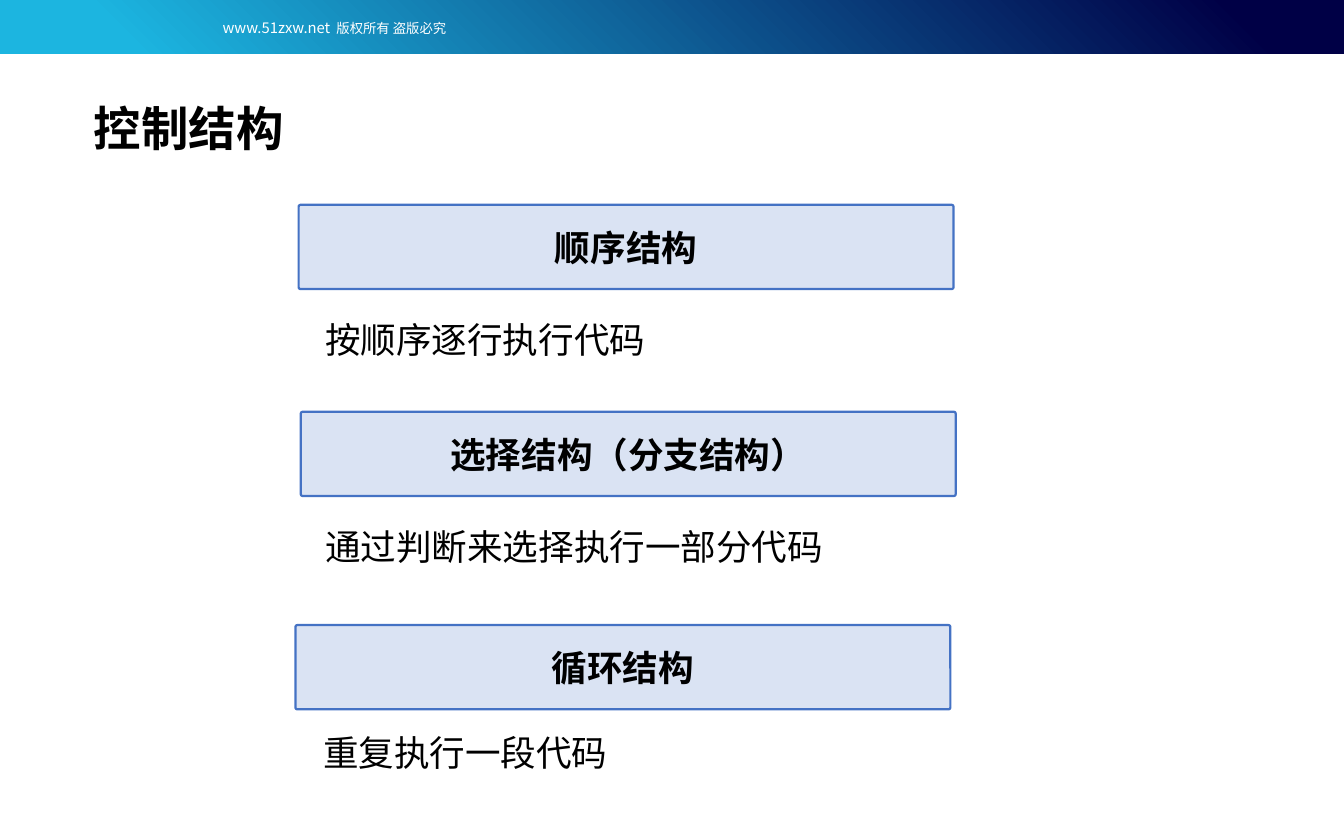
from dataclasses import dataclass

from lxml import etree
from pptx import Presentation
from pptx.dml.color import RGBColor
from pptx.enum import shapes, text
from pptx.oxml import ns
from pptx.util import Inches, Pt

PAGE_WIDTH = 12.6
PAGE_RATIO = 16 / 10
FONT = "Noto Sans CJK SC"
BLACK = RGBColor(0x00, 0x00, 0x00)
WHITE = RGBColor(0xFF, 0xFF, 0xFF)
NAVY = RGBColor(0x00, 0x00, 0x46)
CYAN = RGBColor(0x1C, 0xB5, 0xE0)
PALE_BLUE = RGBColor(0xDA, 0xE3, 0xF3)
BLUE = RGBColor(0x44, 0x72, 0xC4)


@dataclass(frozen=True)
class Structure:
    name: str
    bar_left: float
    bar_top: float
    meaning: str
    meaning_left: float
    meaning_top: float
    meaning_width: float


STRUCTURES = (
    Structure("顺序结构", 2.8, 1.92, "按顺序逐行执行代码", 2.95, 2.93, 4.75),
    Structure("选择结构（分支结构）", 2.82, 3.86, "通过判断来选择执行一部分代码", 2.95, 4.87, 5.92),
    Structure("循环结构", 2.77, 5.86, "重复执行一段代码", 2.93, 6.8, 5.92),
)


def format_span(span, size: float, color: RGBColor = BLACK, bold: bool = False) -> None:
    """Style a run, with the font set for Latin and Chinese characters alike."""
    font = span.font
    font.size, font.bold, font.name = Pt(size), bold, FONT
    font.color.rgb = color
    latin = font._element.find(ns.qn("a:latin"))
    east_asian = etree.Element(ns.qn("a:ea"), typeface=FONT)
    latin.addnext(east_asian)


def add_text_box(page, left: float, top: float, width: float, height: float):
    box = page.shapes.add_textbox(Inches(left), Inches(top), Inches(width), Inches(height))
    box.text_frame.word_wrap = True
    box.text_frame.auto_size = text.MSO_AUTO_SIZE.SHAPE_TO_FIT_TEXT
    return box


def add_header(page) -> None:
    band = page.shapes.add_shape(shapes.MSO_SHAPE.RECTANGLE, Inches(5.95), Inches(-6.19),
                                 Inches(0.7), Inches(12.69))
    band.rotation = 90
    band.shadow.inherit = False
    band.line.fill.background()
    band.fill.gradient()
    band.fill.gradient_angle = 315
    for stop, position, color in zip(band.fill.gradient_stops, (0.1, 0.9), (NAVY, CYAN)):
        stop.position = position
        stop.color.rgb = color

    notice = add_text_box(page, 0.56, 0.08, 5.15, 0.32)
    para = notice.text_frame.paragraphs[0]
    para.alignment = text.PP_ALIGN.CENTER
    para.line_spacing = 1.3
    for words, size in (("www.51zxw.net ", 10), (" 版权所有 盗版必究", 9)):
        span = para.add_run()
        span.text = words
        format_span(span, size, WHITE)


def set_title(page, words: str) -> None:
    title = page.shapes.title
    title.left, title.top = Inches(0.78), Inches(0.88)
    title.width, title.height = Inches(1.99), Inches(0.64)
    frame = title.text_frame
    frame.text = words
    frame.word_wrap = False
    frame.auto_size = text.MSO_AUTO_SIZE.SHAPE_TO_FIT_TEXT
    frame.vertical_anchor = text.MSO_ANCHOR.TOP
    para = frame.paragraphs[0]
    para.alignment = text.PP_ALIGN.LEFT
    format_span(para.runs[0], 32, bold=True)


def add_structure(page, structure: Structure) -> None:
    """Draw the named bar and the explanation under it."""
    bar = page.shapes.add_shape(shapes.MSO_SHAPE.ROUNDED_RECTANGLE, Inches(structure.bar_left),
                                Inches(structure.bar_top), Inches(6.14), Inches(0.79))
    bar.adjustments[0] = 0.023
    bar.shadow.inherit = False
    bar.fill.solid()
    bar.fill.fore_color.rgb = PALE_BLUE
    bar.line.color.rgb = BLUE
    bar.line.width = Pt(1.5)
    bar.text_frame.text = structure.name
    bar.text_frame.vertical_anchor = text.MSO_ANCHOR.MIDDLE
    para = bar.text_frame.paragraphs[0]
    para.alignment = text.PP_ALIGN.CENTER
    format_span(para.runs[0], 24, bold=True)

    box = add_text_box(page, structure.meaning_left, structure.meaning_top,
                       structure.meaning_width, 0.5)
    box.text_frame.text = structure.meaning
    format_span(box.text_frame.paragraphs[0].runs[0], 24)


def main() -> None:
    deck = Presentation()
    deck.slide_width = Inches(PAGE_WIDTH)
    deck.slide_height = Inches(PAGE_WIDTH / PAGE_RATIO)
    page = deck.slides.add_slide(deck.slide_layouts.get_by_name("Title Only"))
    add_header(page)
    set_title(page, "控制结构")
    for structure in STRUCTURES:
        add_structure(page, structure)
    deck.save("out.pptx")


if __name__ == "__main__":
    main()
